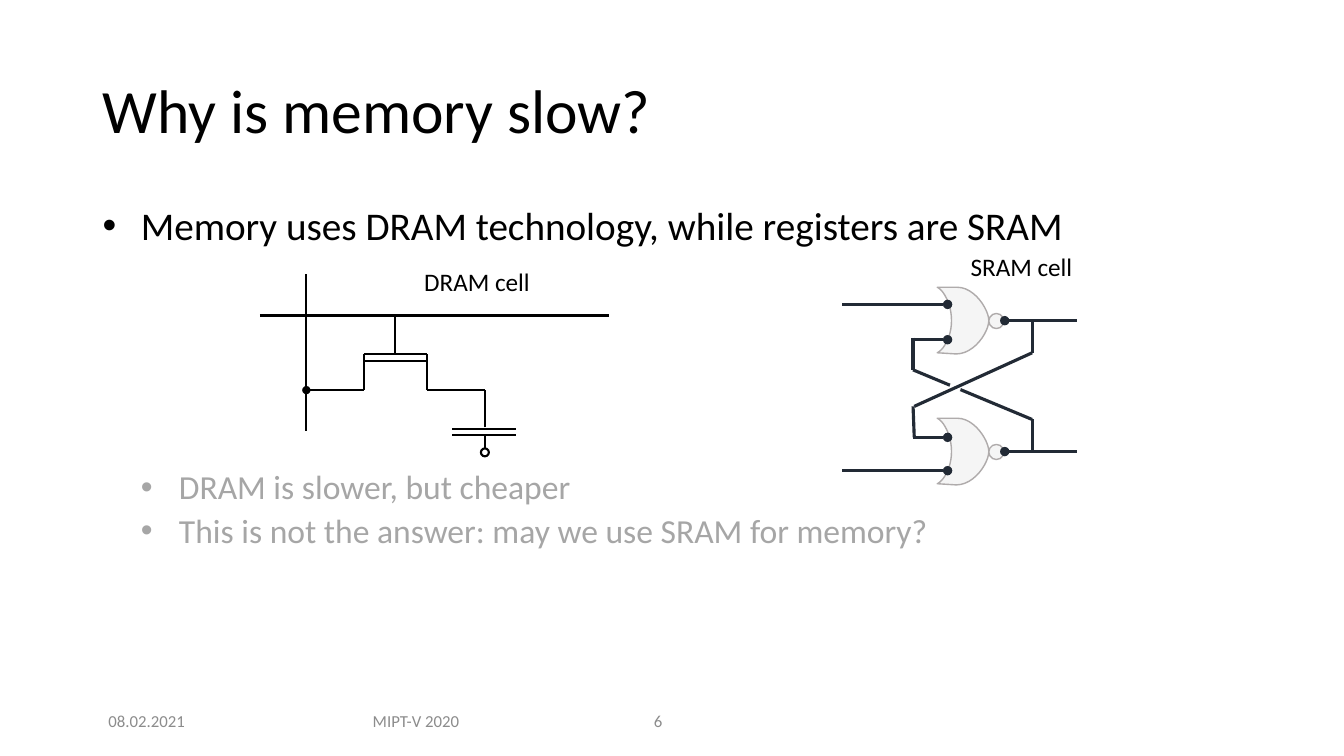
from lxml import etree
from pptx import Presentation
from pptx import util as u
from pptx.dml.color import RGBColor
from pptx.enum import shapes, text
from pptx.oxml.ns import qn

BLACK = RGBColor(0x00, 0x00, 0x00)
WHITE = RGBColor(0xFF, 0xFF, 0xFF)
MUTED = RGBColor(0xA6, 0xA6, 0xA6)
FOOTER = RGBColor(0x8C, 0x8C, 0x8C)
NAVY = RGBColor(0x22, 0x2A, 0x35)
GATE_FILL = RGBColor(0xF5, 0xF5, 0xF5)
GATE_LINE = RGBColor(0xAF, 0xAB, 0xAB)

deck = Presentation()
deck.slide_width, deck.slide_height = u.Cm(33.87), u.Cm(19.05)
page = deck.slides.add_slide(deck.slide_layouts[6])


def add_label(words, area, size, color, anchor=text.MSO_ANCHOR.TOP, align=text.PP_ALIGN.LEFT):
    box = page.shapes.add_textbox(*(u.Cm(length) for length in area))
    frame = box.text_frame
    frame.word_wrap = True
    frame.vertical_anchor = anchor
    frame.text = words
    para = frame.paragraphs[0]
    para.alignment = align
    para.font.name, para.font.size = "Calibri", u.Pt(size)
    para.font.color.rgb = color
    return frame


def add_wire(ends, color, width, dot=False):
    """Draw a straight wire; dot puts a round contact at its far end."""
    wire = page.shapes.add_connector(shapes.MSO_CONNECTOR.STRAIGHT, *(u.Cm(end) for end in ends))
    wire.line.color.rgb = color
    wire.line.width = u.Pt(width)
    if dot:
        etree.SubElement(wire.line._get_or_add_ln(), qn("a:tailEnd"), type="oval")
    etree.SubElement(wire._element.spPr, qn("a:effectLst"))


# Title and bullets
title = add_label("Why is memory slow?", (2.34, 1.02, 29.21, 3.68), 44, BLACK, text.MSO_ANCHOR.MIDDLE)
title.paragraphs[0].line_spacing = 0.9

body = page.shapes.add_textbox(u.Cm(2.34), u.Cm(5.08), u.Cm(29.21), u.Cm(11.48)).text_frame
body.word_wrap = True
bullets = [
    ("Memory uses DRAM technology, while registers are SRAM", 0, 28, 0, BLACK),
    ("DRAM is slower, but cheaper", 1, 24, 158.5, MUTED),
    ("This is not the answer: may we use SRAM for memory?", 1, 24, 5, MUTED),
]
for number, (words, level, size, before, color) in enumerate(bullets):
    para = body.add_paragraph() if number else body.paragraphs[0]
    para.text = words
    para.level = level
    para.line_spacing = 0.9
    para.space_before = u.Pt(before)
    properties = para._p.get_or_add_pPr()
    properties.set("marL", str(u.Cm(0.96 * (level + 1))))
    properties.set("indent", str(-u.Cm(0.96)))
    etree.SubElement(properties, qn("a:buFont"), typeface="Arial")
    etree.SubElement(properties, qn("a:buChar"), char="•")
    para.font.name, para.font.size = "Calibri", u.Pt(size)
    para.font.color.rgb = color

# DRAM cell
dram_wires = [
    (6.55, 7.95, 15.34, 7.95),     # word line
    (7.72, 10.85, 7.72, 6.91),     # bit line
    (9.96, 8.89, 9.96, 7.95),      # transistor
    (9.17, 8.92, 10.77, 8.92),
    (9.17, 9.09, 10.77, 9.09),
    (10.77, 9.83, 10.77, 8.92),
    (9.17, 9.83, 9.17, 8.92),
    (12.22, 9.83, 10.77, 9.83),
    (12.22, 10.77, 12.22, 9.83),
    (11.4, 10.8, 13, 10.8),        # capacitor
    (11.4, 10.97, 13, 10.97),
    (12.22, 11.48, 12.22, 10.97),
]
for ends in dram_wires:
    add_wire(ends, BLACK, 1.5)
add_wire((9.17, 9.83, 7.72, 9.83), BLACK, 1.5, dot=True)
add_label("DRAM cell", (10.44, 6.58, 4.93, 1.02), 18, BLACK)

# SRAM cell: two cross-coupled NOR gates
GATE_STEP = 3.3
gate_curves = [
    [(23.62, 7.24), (23.75, 7.29), (23.98, 7.62), (23.98, 8.08)],
    [(23.98, 8.08), (23.98, 8.53), (23.75, 8.84), (23.62, 8.89)],
    [(24.1, 8.92), (24.56, 8.92), (24.92, 8.36), (24.92, 8.08)],
    [(24.92, 8.08), (24.92, 7.8), (24.56, 7.24), (24.13, 7.24)],
]
outline = []
for curve in gate_curves:
    for step in range(13):
        t = step / 12
        weights = ((1 - t) ** 3, 3 * t * (1 - t) ** 2, 3 * t ** 2 * (1 - t), t ** 3)
        outline.append([sum(w * point[axis] for w, point in zip(weights, curve)) for axis in (0, 1)])

for drop in (0, GATE_STEP):
    points = [(u.Cm(x), u.Cm(y + drop)) for x, y in outline]
    builder = page.shapes.build_freeform(*points[0])
    builder.add_line_segments(points[1:], close=True)
    gate = builder.convert_to_shape()
    bubble = page.shapes.add_shape(shapes.MSO_SHAPE.OVAL, u.Cm(24.92), u.Cm(7.9 + drop), u.Cm(0.38), u.Cm(0.38))
    for part in (gate, bubble):
        part.shadow.inherit = False
        part.fill.solid()
        part.fill.fore_color.rgb = GATE_FILL
        part.line.color.rgb = GATE_LINE
        part.line.width = u.Pt(1)
    add_wire((27.13, 8.08 + drop, 25.32, 8.08 + drop), NAVY, 2.25, dot=True)

for left, top in ((21.23, 7.67), (23.01, 8.56), (23.01, 11.02), (21.23, 11.86)):
    add_wire((left, top, 23.88, top), NAVY, 2.25, dot=True)

feedback_wires = [
    (23.01, 10.24, 23.04, 11.02),
    (26.01, 8.08, 26.01, 8.89),
    (26.01, 10.57, 26.01, 11.38),
    (23.01, 9.32, 26.01, 10.57),
    (23.01, 8.51, 23.01, 9.32),
]
for ends in feedback_wires:
    add_wire(ends, NAVY, 2.25)

# White gap at the crossing, and the open terminal of the DRAM capacitor
for left, top, size, color, width in ((23.93, 9.63, 0.28, WHITE, 0.25), (12.12, 11.3, 0.2, BLACK, 1.5)):
    ring = page.shapes.add_shape(shapes.MSO_SHAPE.OVAL, u.Cm(left), u.Cm(top), u.Cm(size), u.Cm(size))
    ring.shadow.inherit = False
    ring.fill.solid()
    ring.fill.fore_color.rgb = WHITE
    ring.line.color.rgb = color
    ring.line.width = u.Pt(width)
add_wire((26.01, 8.89, 23.04, 10.24), NAVY, 2.25)
add_label("SRAM cell", (24.21, 6.22, 3.84, 1.02), 18, BLACK)

# Footer
for words, left, width, align in (
    ("08.02.2021", 2.34, 2.72, text.PP_ALIGN.CENTER),
    ("MIPT-V 2020", 8.48, 4.01, text.PP_ALIGN.CENTER),
    ("6", 16.23, 2.01, text.PP_ALIGN.LEFT),
):
    add_label(words, (left, 17.65, width, 1.02), 12, FOOTER, text.MSO_ANCHOR.MIDDLE, align)

deck.save("out.pptx")
